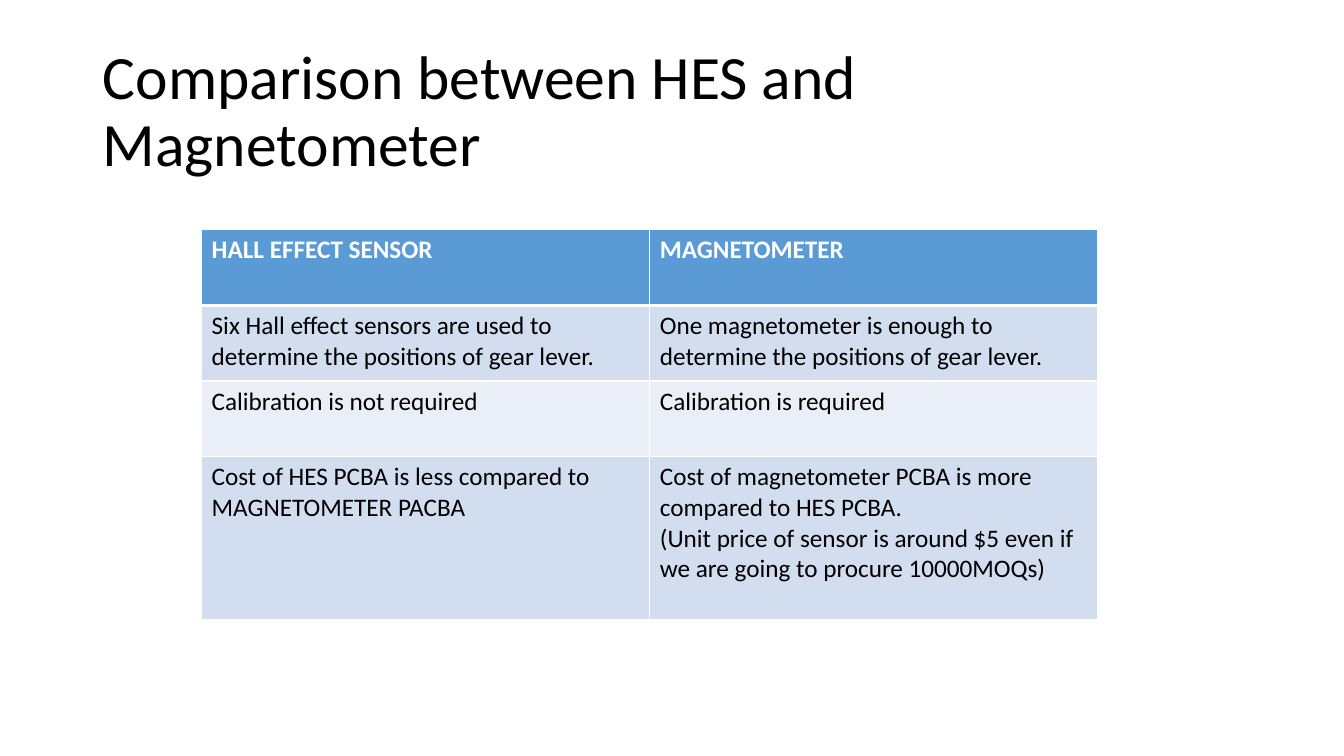
from dataclasses import dataclass

from lxml.etree import SubElement
from pptx import Presentation
from pptx.dml.color import RGBColor
from pptx.enum.text import MSO_ANCHOR, MSO_AUTO_SIZE, PP_ALIGN
from pptx.oxml.ns import qn
from pptx.slide import Slide
from pptx.table import _Cell as Cell
from pptx.text.text import TextFrame
from pptx.util import Inches, Pt


@dataclass(frozen=True)
class Theme:
    font: str = "Calibri"
    title_size: int = 44
    table_size: int = 18
    ink: str = "000000"
    paper: str = "FFFFFF"
    header: str = "5B9BD5"
    bands: tuple[str, str] = ("D2DEEF", "EAEFF7")
    rule: float = 1
    header_rule: float = 3


@dataclass(frozen=True)
class ComparisonRow:
    hall: str
    magnetometer: str
    height: float = 0.1  # share of the slide height


THEME = Theme()
WIDTH, HEIGHT = Inches(13.33), Inches(7.5)

ROWS = [
    ComparisonRow("HALL EFFECT SENSOR", "MAGNETOMETER"),
    ComparisonRow(
        "Six Hall effect sensors are used to determine the positions of gear lever.",
        "One magnetometer is enough to determine the positions of gear lever.",
    ),
    ComparisonRow("Calibration is not required", "Calibration is required"),
    ComparisonRow(
        "Cost of HES PCBA is less compared to MAGNETOMETER PACBA",
        "Cost of magnetometer PCBA is more compared to HES PCBA.\n"
        "(Unit price of sensor is around $5 even if we are going to procure 10000MOQs)",
        height=0.216,
    ),
]


def across(share: float) -> int:
    return round(WIDTH * share)


def down(share: float) -> int:
    return round(HEIGHT * share)


def format_text(tf: TextFrame, size: int, color: str, bold: bool = False) -> None:
    for p in tf.paragraphs:
        for r in p.runs:
            r.font.name = THEME.font
            r.font.size = Pt(size)
            r.font.bold = bold
            r.font.color.rgb = RGBColor.from_string(color)


def set_borders(cell: Cell, top: float, bottom: float) -> None:
    """Draw the four cell borders; they must precede the cell's fill."""
    tc_pr = cell._tc.get_or_add_tcPr()
    widths = {"lnL": THEME.rule, "lnR": THEME.rule, "lnT": top, "lnB": bottom}
    for tag, width in widths.items():
        ln = SubElement(tc_pr, qn(f"a:{tag}"), w=str(Pt(width)))
        fill = SubElement(ln, qn("a:solidFill"))
        SubElement(fill, qn("a:srgbClr"), val=THEME.paper)


def add_title(s: Slide, text: str) -> None:
    title = s.shapes.title
    title.left, title.top = across(0.069), down(0.053)
    title.width, title.height = across(0.863), down(0.193)
    tf = title.text_frame
    tf.text = text
    tf.word_wrap = True
    tf.auto_size = MSO_AUTO_SIZE.NONE
    tf.vertical_anchor = MSO_ANCHOR.MIDDLE
    p = tf.paragraphs[0]
    p.alignment = PP_ALIGN.LEFT
    p.line_spacing = 0.9
    format_text(tf, THEME.title_size, THEME.ink)


def add_comparison(s: Slide, rows: list[ComparisonRow]) -> None:
    height = down(sum(row.height for row in rows))
    table = s.shapes.add_table(
        len(rows), 2, across(0.15), down(0.304), across(0.667), height
    ).table
    for i, row in enumerate(rows):
        table.rows[i].height = down(row.height)
        is_header = i == 0
        band = THEME.header if is_header else THEME.bands[(i - 1) % 2]
        top = THEME.header_rule if i == 1 else THEME.rule
        bottom = THEME.header_rule if is_header else THEME.rule
        for j, text in enumerate((row.hall, row.magnetometer)):
            cell = table.cell(i, j)
            cell.text_frame.text = text
            set_borders(cell, top, bottom)
            cell.fill.solid()
            cell.fill.fore_color.rgb = RGBColor.from_string(band)
            color = THEME.paper if is_header else THEME.ink
            format_text(cell.text_frame, THEME.table_size, color, bold=is_header)


def main() -> None:
    prs = Presentation()
    prs.slide_width, prs.slide_height = WIDTH, HEIGHT
    s = prs.slides.add_slide(prs.slide_layouts.get_by_name("Title Only"))

    # Title
    add_title(s, "Comparison between HES and Magnetometer")

    # Sensor comparison table
    add_comparison(s, ROWS)

    prs.save("out.pptx")


if __name__ == "__main__":
    main()
